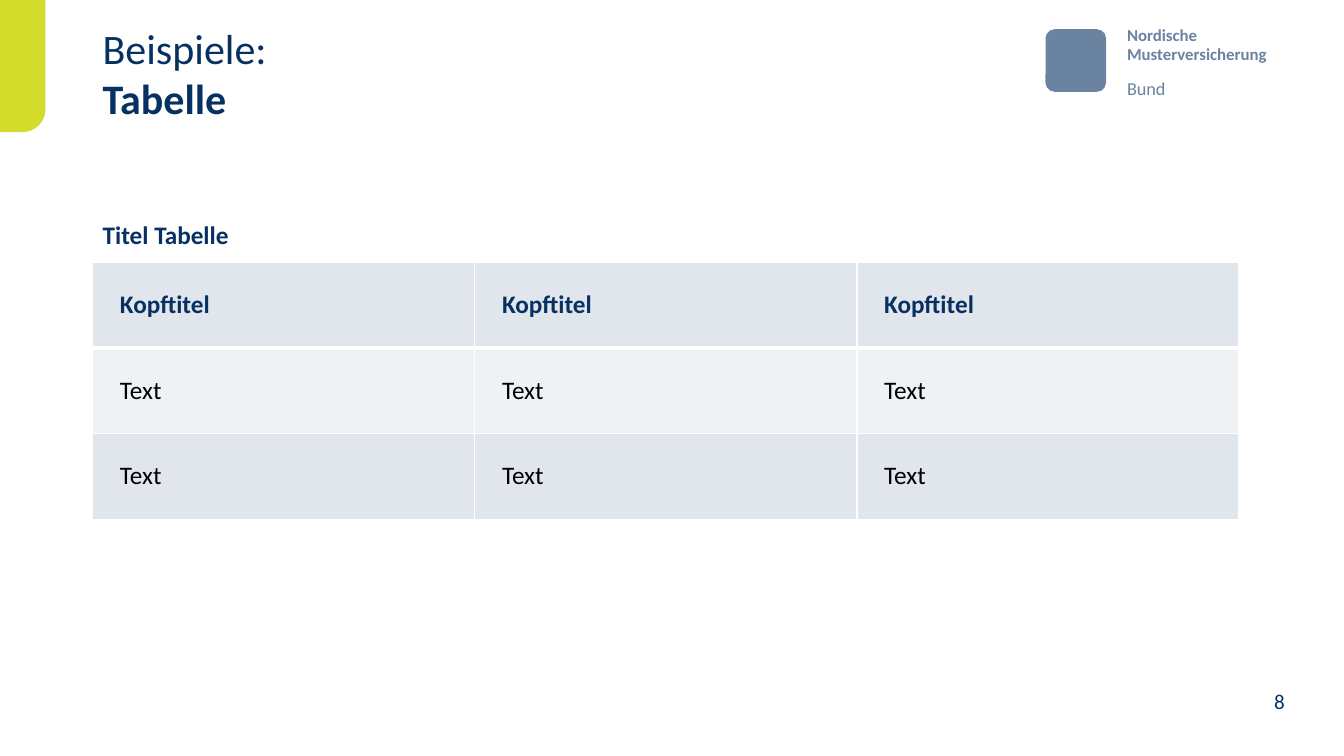
import pptx
import pptx.util
import pptx.dml.color
import pptx.enum.shapes
import pptx.enum.text
import pptx.oxml
import pptx.oxml.ns
from pptx.util import Inches

NAVY, SLATE, LIME, WHITE, BLACK = "083163", "6983A1", "D3DB2B", "FFFFFF", "000000"
ANCHOR = pptx.enum.text.MSO_ANCHOR
ALIGN = pptx.enum.text.PP_ALIGN
SHAPE = pptx.enum.shapes.MSO_SHAPE


def rgb(color):
    """Return the colour for a hex string."""
    return pptx.dml.color.RGBColor.from_string(color)


def style_paragraph(p, size, color, bold=False):
    """Format every run of a paragraph."""
    for r in p.runs:
        r.font.name = "Calibri"
        r.font.size = pptx.util.Pt(size)
        r.font.bold = bold
        r.font.color.rgb = rgb(color)


def add_text(s, box, lines, size, color, bolds=(False,), anchor=ANCHOR.TOP,
             align=ALIGN.LEFT, spacing=None):
    """Add a text box with one paragraph per line."""
    tf = s.shapes.add_textbox(*map(Inches, box)).text_frame
    tf.word_wrap = True
    tf.vertical_anchor = anchor
    tf.text = "\n".join(lines)
    for p, bold in zip(tf.paragraphs, bolds):
        p.alignment = align
        if spacing:
            p.line_spacing = pptx.util.Pt(spacing)
        style_paragraph(p, size, color, bold)


def add_block(s, kind, box, color, rotation=0, rounding=0.5):
    """Add a plain filled shape with rounded corners."""
    sp = s.shapes.add_shape(kind, *map(Inches, box))
    sp.shadow.inherit = False
    sp.fill.solid()
    sp.fill.fore_color.rgb = rgb(color)
    sp.line.fill.background()
    sp.rotation = rotation
    sp.adjustments[0] = rounding


def set_border(cell, side, width):
    """Add a white border to one side of a cell."""
    ns = pptx.oxml.ns.nsdecls("a")
    cell._tc.get_or_add_tcPr().append(pptx.oxml.parse_xml(
        f'<a:{side} {ns} w="{pptx.util.Pt(width)}"><a:solidFill>'
        f'<a:srgbClr val="{WHITE}"/></a:solidFill></a:{side}>'))


def set_fill(cell, color, opacity):
    """Fill a cell with a partly transparent colour."""
    ns = pptx.oxml.ns.nsdecls("a")
    cell._tc.get_or_add_tcPr().append(pptx.oxml.parse_xml(
        f'<a:solidFill {ns}><a:srgbClr val="{color}">'
        f'<a:alpha val="{opacity * 1000}"/></a:srgbClr></a:solidFill>'))


def format_cell(cell, text, row):
    """Write and format one table cell according to its row."""
    header = row == 0
    cell.text = text
    cell.vertical_anchor = ANCHOR.MIDDLE
    cell.margin_left = cell.margin_right = Inches(0.27)
    cell.margin_top = cell.margin_bottom = Inches(0.27)
    style_paragraph(cell.text_frame.paragraphs[0], 18, NAVY if header else BLACK, header)
    for side in ("lnL", "lnR", "lnT", "lnB"):
        thick = (header and side == "lnB") or (row == 1 and side == "lnT")
        set_border(cell, side, 3 if thick else 1)
    set_fill(cell, SLATE, 10 if row % 2 else 20)


def add_data_table(s, box, rows):
    """Add a table with equal columns and rows."""
    frame = s.shapes.add_table(len(rows), len(rows[0]), *map(Inches, box))
    for i, row in enumerate(rows):
        for j, text in enumerate(row):
            format_cell(frame.table.cell(i, j), text, i)


def main():
    """Build the slide and save it."""
    prs = pptx.Presentation()
    prs.slide_width, prs.slide_height = Inches(13.33), Inches(7.5)
    s = prs.slides.add_slide(prs.slide_layouts[6])

    add_block(s, SHAPE.ROUNDED_RECTANGLE, (10.37, 0.29, 0.6, 0.62), SLATE, rounding=0.15)
    add_text(s, (11.08, 0.22, 1.9, 0.47), ["Nordische", "Musterversicherung"], 12, SLATE,
             (True, True), spacing=13)
    add_text(s, (11.08, 0.64, 0.8, 0.36), ["Bund"], 13, SLATE, spacing=21)
    add_block(s, SHAPE.ROUND_1_RECTANGLE, (-0.43, 0.43, 1.31, 0.45), LIME, rotation=90)

    add_text(s, (9.51, 6.63, 3.33, 0.5), ["8"], 15, NAVY, anchor=ANCHOR.BOTTOM,
             align=ALIGN.RIGHT)
    add_text(s, (0.92, 0.13, 9, 1.18), ["Beispiele:", "Tabelle"], 30, NAVY,
             (False, True), ANCHOR.MIDDLE)
    add_text(s, (0.92, 2.13, 4.11, 0.4), ["Titel Tabelle"], 18, NAVY, (True,))
    add_data_table(s, (0.92, 2.6, 11.37, 2.55),
                   [["Kopftitel"] * 3, ["Text"] * 3, ["Text"] * 3])
    prs.save("out.pptx")


if __name__ == "__main__":
    main()
